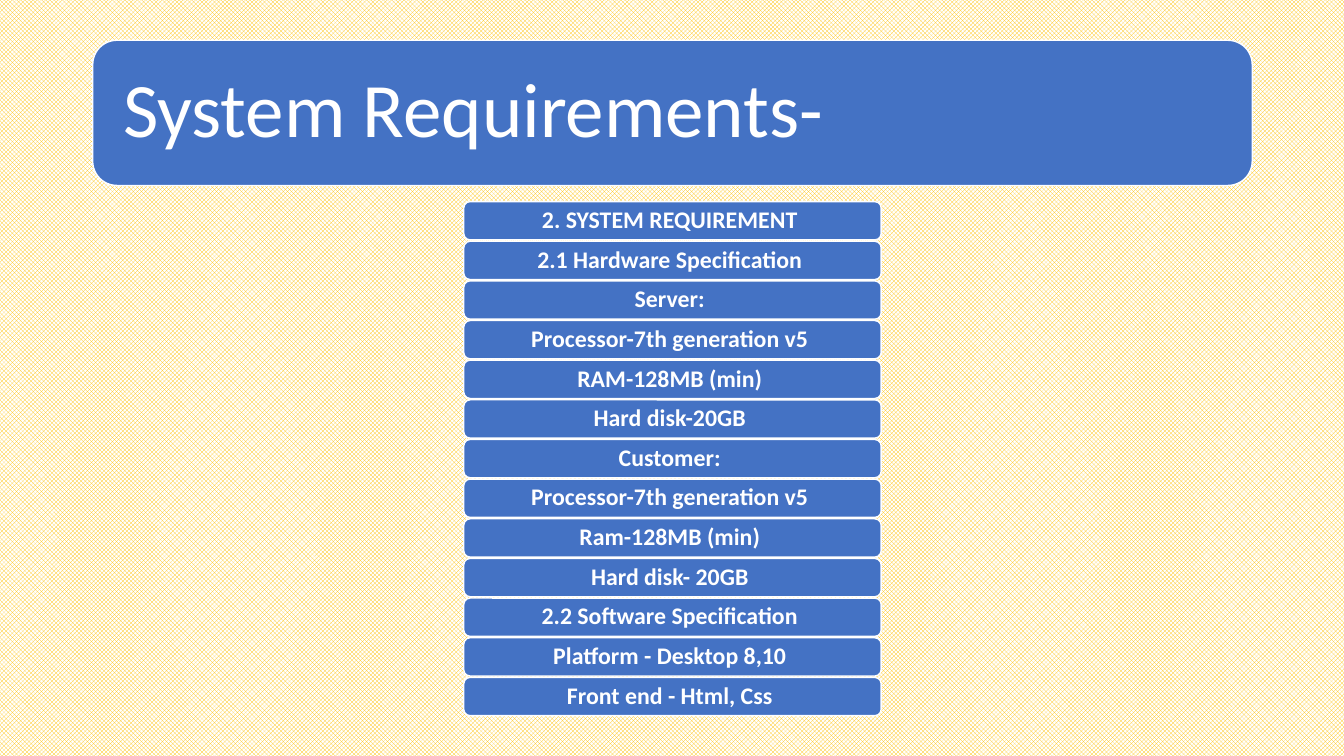
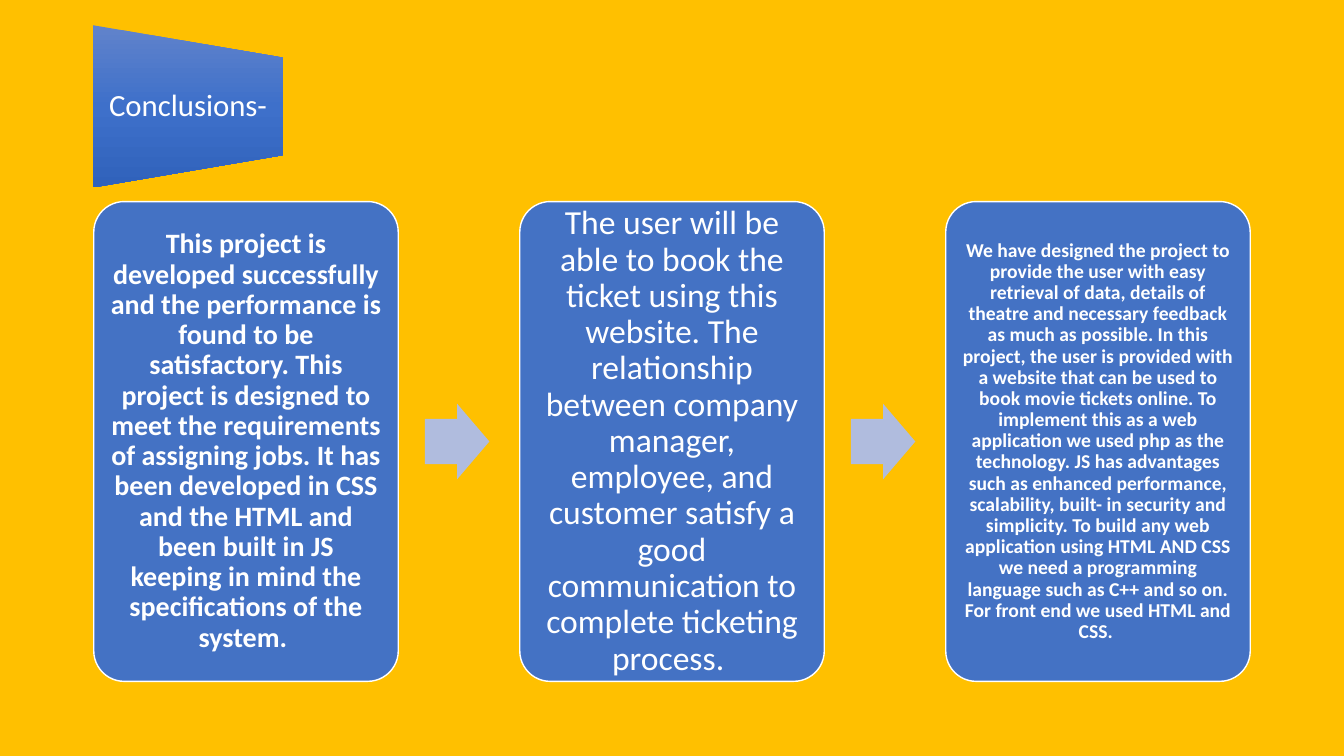
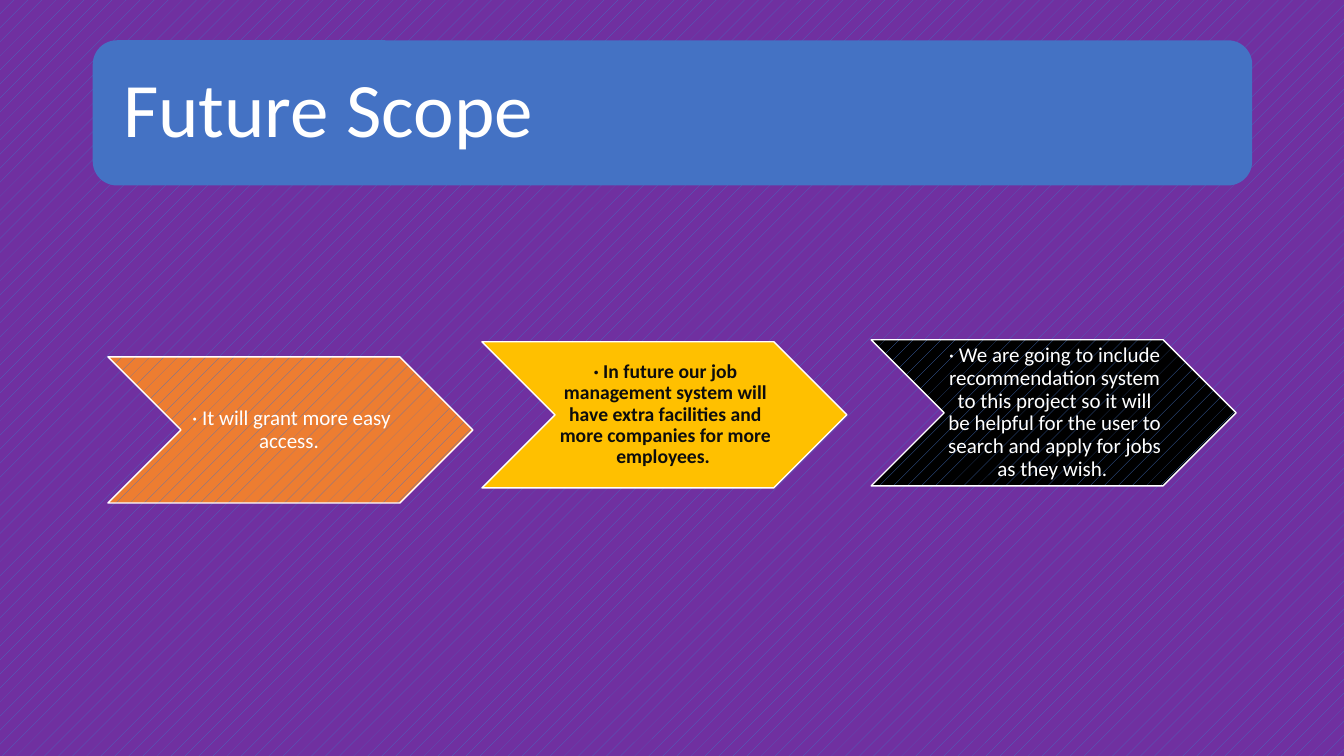
"""Build three slides: system requirements, conclusions and future scope."""
from copy import deepcopy

from pptx import Presentation
from pptx import util as u
from pptx.dml.color import RGBColor
from pptx.enum import dml, shapes, text
from pptx.oxml.ns import qn

C = {"blue": "4472C4", "gold": "FFC000", "white": "FFFFFF", "purple": "7030A0",
     "orange": "ED7D31", "black": "000000", "ink": "0D0D0D", "arrow": "B0BCDE",
     "light": "6183CB", "mid": "3E70CA", "deep": "3062BB"}
FONT = "Calibri"
SHAPE = shapes.MSO_SHAPE
PATTERN = dml.MSO_PATTERN
ALIGN = text.PP_ALIGN
WIDTH, HEIGHT = 13.33, 7.5
BAND = (0.92, 0.4, 11.5, 1.44)
TAB = (1.06, 0.11, 1.61, 1.89)
TAB_TITLE = (0.92, 0.57, 1.89, 0.97)
TAB_STOPS = [(0, "light"), (0.5, "mid"), (1, "deep")]

REQUIREMENTS = [
    "2. SYSTEM REQUIREMENT ", "2.1 Hardware Specification ", "Server: ",
    "Processor-7th generation v5 ", "RAM-128MB (min) ", "Hard disk-20GB ",
    "Customer: ", "Processor-7th generation v5 ", "Ram-128MB (min) ",
    "Hard disk- 20GB ", "2.2 Software Specification ",
    "Platform - Desktop 8,10 ", "Front end - Html, Css ",
]
ROW = {"left": 4.6, "top": 2, "width": 4.14, "height": 0.38, "last": 6.72}

CONCLUSIONS = [
    ("This project is developed successfully and the performance is found to be "
     "satisfactory. This project is designed to meet the requirements of assigning "
     "jobs. It has been developed in CSS and the HTML and been built in JS keeping "
     "in mind the specifications of the system. ", 20, True, 0.08),
    ("The user will be able to book the ticket using this website. The relationship "
     "between company manager, employee, and customer satisfy a good communication "
     "to complete ticketing process. ", 24, False, 0.1),
    ("We have designed the project to provide the user with easy retrieval of data, "
     "details of theatre and necessary feedback as much as possible. In this project, "
     "the user is provided with a website that can be used to book movie tickets "
     "online. To implement this as a web application we used php as the technology. "
     "JS has advantages such as enhanced performance, scalability, built- in security "
     "and simplicity. To build any web application using HTML AND CSS we need a "
     "programming language such as C++ and so on. For front end we used HTML and "
     "CSS. ", 14, True, 0.06),
]
CARD = {"left": 0.93, "top": 2, "width": 3.02, "height": 4.76, "right": 12.4}
ARROW = {"width": 0.64, "height": 0.75}

SCOPE = [
    ("· It will grant more easy access. ", 1.07, 3.54,
     ("blue", "orange", PATTERN.PERCENT_5), "white", 15, False),
    ("· In future our job management system will have extra facilities and more "
     "companies for more employees. ", 4.78, 3.39, "gold", "ink", 14, True),
    ("· We are going to include recommendation system to this project so it will be "
     "helpful for the user to search and apply for jobs as they wish. ", 8.64, 3.37,
     ("blue", "black", PATTERN.PERCENT_5), "white", 15, False),
]
CHEVRON = (3.62, 1.45)


def rgb(name):
    """Return the named palette colour."""
    return RGBColor.from_string(C[name])


def paint(fill, paint_spec):
    """Fill with a colour name or a (front, back, pattern) tuple."""
    if isinstance(paint_spec, str):
        fill.solid()
        fill.fore_color.rgb = rgb(paint_spec)
    else:
        front, back, pattern = paint_spec
        fill.patterned()
        fill.pattern = pattern
        fill.fore_color.rgb, fill.back_color.rgb = rgb(front), rgb(back)


def write(sp, words, size, bold=False, color="white", align=ALIGN.CENTER, ins=(0, 0, 0, 0)):
    """Write one formatted paragraph into a shape."""
    tf = sp.text_frame
    frame = {"word_wrap": True, "auto_size": text.MSO_AUTO_SIZE.NONE,
             "vertical_anchor": text.MSO_ANCHOR.MIDDLE}
    frame.update(zip(("margin_left", "margin_top", "margin_right", "margin_bottom"),
                     map(u.Inches, ins)))
    p = tf.paragraphs[0]
    r = p.add_run()
    r.text = words
    r.font.color.rgb = rgb(color)
    for target, values in (
            (tf, frame),
            (p, {"alignment": align, "line_spacing": 0.9}),
            (r.font, {"name": FONT, "size": u.Pt(size), "bold": bold})):
        for key, value in values.items():
            setattr(target, key, value)


def add(s, kind, box, fill=None, line="white", adj=()):
    """Add a flat preset shape."""
    sp = s.shapes.add_shape(kind, *map(u.Inches, box))
    sp.shadow.inherit = False
    if fill:
        paint(sp.fill, fill)
    if line:
        sp.line.color.rgb = rgb(line)
        sp.line.width = u.Pt(1)
    else:
        sp.line.fill.background()
    for i, value in enumerate(adj):
        sp.adjustments[i] = value
    return sp


def new_slide(prs, background):
    """Add a title-only slide with a background."""
    s = prs.slides.add_slide(prs.slide_layouts[5])
    paint(s.background.fill, background)
    return s


def set_title(s, words, box, size, align, ins):
    """Place the title in front of its backing shape."""
    title = s.shapes.title
    title.left, title.top, title.width, title.height = map(u.Inches, box)
    write(title, words, size, align=align, ins=ins)
    s.shapes._spTree.append(title._element)


def band_title(s, words, line):
    """Draw the full-width title band."""
    add(s, SHAPE.ROUNDED_RECTANGLE, BAND, "blue", line)
    set_title(s, words, BAND, 55, ALIGN.LEFT, (0.3, 0.23, 0.3, 0.23))


def tab_title(s, words):
    """Draw the tapered title tab with its three-stop gradient."""
    tab = add(s, SHAPE.FLOWCHART_MANUAL_OPERATION, TAB, line=None)
    tab.rotation = 270
    tab.fill.gradient()
    tab.fill.gradient_angle = 270
    grad = tab._element.spPr.find(qn("a:gradFill"))
    grad.set("rotWithShape", "0")
    stops = grad.find(qn("a:gsLst"))
    stops.insert(1, deepcopy(stops[0]))
    for stop, (position, color) in zip(tab.fill.gradient_stops, TAB_STOPS):
        stop.position = position
        stop.color.rgb = rgb(color)
    set_title(s, words, TAB_TITLE, 22, ALIGN.CENTER, (0.15, 0, 0.15, 0))


def requirements_slide(prs):
    """Stack the requirements in equal rows."""
    s = new_slide(prs, ("gold", "white", PATTERN.TRELLIS))
    band_title(s, "System Requirements-", "white")
    pitch = (ROW["last"] - ROW["top"]) / (len(REQUIREMENTS) - 1)
    for i, words in enumerate(REQUIREMENTS):
        box = (ROW["left"], ROW["top"] + i * pitch, ROW["width"], ROW["height"])
        sp = add(s, SHAPE.ROUNDED_RECTANGLE, box, "blue")
        write(sp, words, 17, True, ins=(0.07, 0.04, 0.07, 0.04))


def conclusions_slide(prs):
    """Lay the conclusions out as cards joined by block arrows."""
    s = new_slide(prs, "gold")
    tab_title(s, "Conclusions-")
    gap = (CARD["right"] - CARD["left"] - 3 * CARD["width"]) / 2
    for i, (words, size, bold, inset) in enumerate(CONCLUSIONS):
        left = CARD["left"] + i * (CARD["width"] + gap)
        box = (left, CARD["top"], CARD["width"], CARD["height"])
        sp = add(s, SHAPE.ROUNDED_RECTANGLE, box, "blue", adj=[0.1])
        write(sp, words, size, bold, ins=(inset,) * 4)
        if i:
            middle = CARD["top"] + CARD["height"] / 2
            box = (left - gap / 4 - ARROW["width"], middle - ARROW["height"] / 2,
                   ARROW["width"], ARROW["height"])
            add(s, SHAPE.RIGHT_ARROW, box, "arrow", None, [0.6, 0.5])


def scope_slide(prs):
    """Show the future plans as chevrons."""
    s = new_slide(prs, ("blue", "purple", PATTERN.PERCENT_5))
    band_title(s, "Future Scope", None)
    for words, left, top, fill, color, size, bold in SCOPE:
        sp = add(s, SHAPE.CHEVRON, (left, top, *CHEVRON), fill)
        write(sp, words, size, bold, color, ins=(0.02, 0.01, 0, 0.01))


def main():
    """Build and save the presentation."""
    prs = Presentation()
    prs.slide_width, prs.slide_height = u.Inches(WIDTH), u.Inches(HEIGHT)
    for build in (requirements_slide, conclusions_slide, scope_slide):
        build(prs)
    prs.save("out.pptx")


if __name__ == "__main__":
    main()
